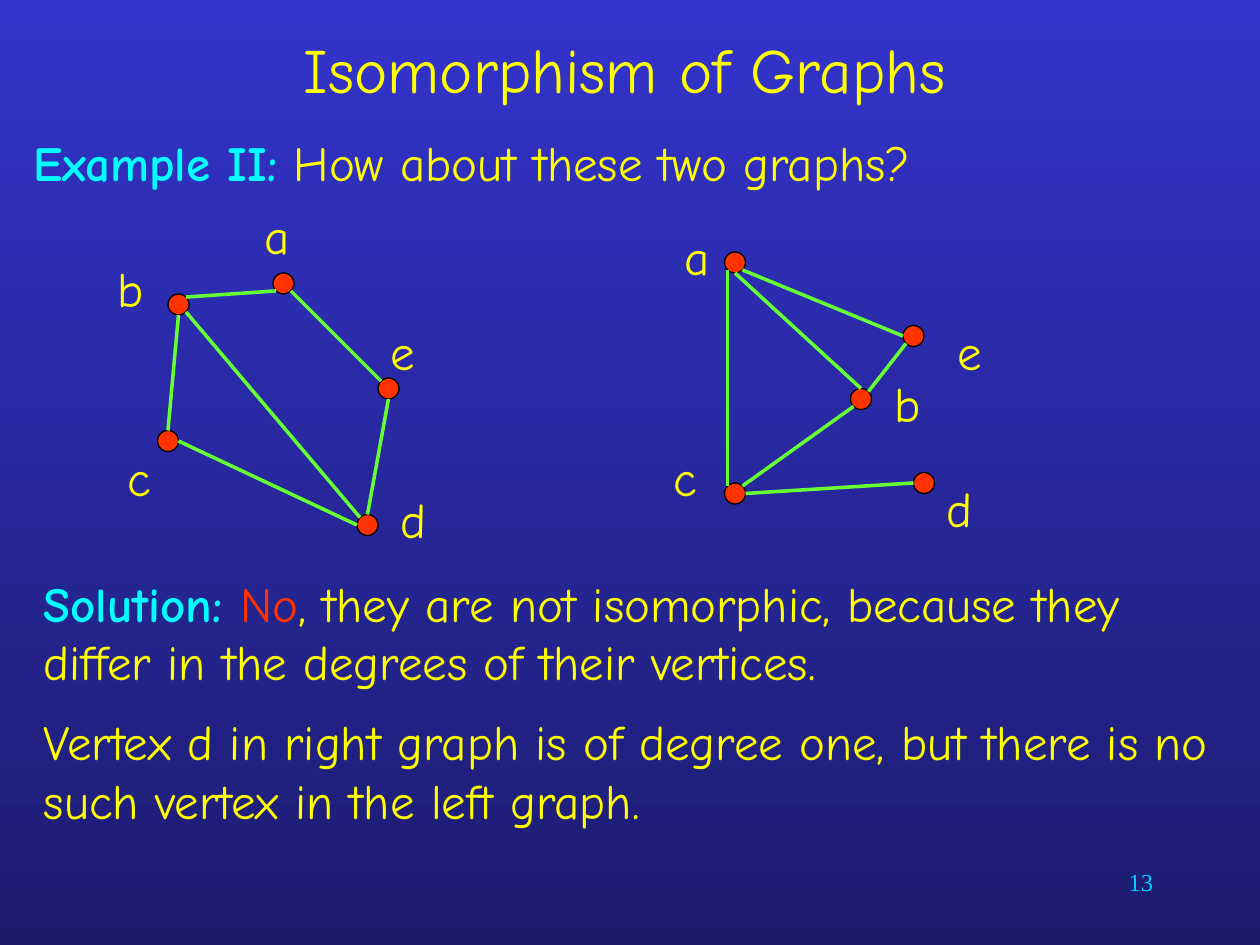
"""Build a slide that compares two small graphs and explains why they are not isomorphic."""
import math
from dataclasses import dataclass

from lxml import etree
from pptx import Presentation
from pptx import util as u
from pptx.dml.color import RGBColor
from pptx.enum import shapes, text
from pptx.oxml import ns

COLORS = {"top": "3333CC", "bottom": "1C1C6F", "text": "FFFF00", "lead": "00FFFF",
          "red": "FF3300", "edge": "66FF33", "outline": "000000", "number": "00CCFF"}
FONT = "Comic Neue"
DOT = 12
TOP, TOP_LEFT, LEFT, BOTTOM_LEFT, BOTTOM, BOTTOM_RIGHT, RIGHT, TOP_RIGHT = range(8)


@dataclass(frozen=True)
class Vertex:
    """A dot and its label, both placed by their left top corner in points."""
    x: float
    y: float
    label_x: float
    label_y: float
    label_w: float = 48

    def site(self, number: int) -> tuple[float, float]:
        """Return one of eight points on the rim, counted counter-clockwise from the top."""
        angle = math.radians(90 + 45 * number)
        radius = DOT / 2
        return (self.x + radius + radius * math.cos(angle),
                self.y + radius - radius * math.sin(angle))


@dataclass(frozen=True)
class Edge:
    """A line between rim sites of two named vertices."""
    start: str
    start_site: int
    end: str
    end_site: int


@dataclass(frozen=True)
class Graph:
    """Named vertices and the edges between them."""
    vertices: dict[str, Vertex]
    edges: list[Edge]


GRAPHS = [
    Graph({"d": Vertex(204, 294, 222, 276), "c": Vertex(90, 246, 66, 252, 30),
           "b": Vertex(96, 168, 60, 144, 24), "e": Vertex(216, 216, 216, 180),
           "a": Vertex(156, 156, 144, 114)},
          [Edge("d", TOP, "e", BOTTOM), Edge("d", LEFT, "c", RIGHT),
           Edge("c", TOP, "b", BOTTOM), Edge("b", TOP_RIGHT, "a", BOTTOM_LEFT),
           Edge("a", BOTTOM_RIGHT, "e", TOP_LEFT), Edge("b", BOTTOM_RIGHT, "d", TOP_LEFT)]),
    Graph({"c": Vertex(414, 276, 378, 252, 30), "b": Vertex(486, 222, 504, 210, 24),
           "a": Vertex(414, 144, 384, 126), "d": Vertex(522, 270, 534, 270),
           "e": Vertex(516, 186, 540, 180)},
          [Edge("c", RIGHT, "d", LEFT), Edge("c", TOP_RIGHT, "b", BOTTOM_LEFT),
           Edge("b", TOP, "a", BOTTOM), Edge("a", BOTTOM_RIGHT, "e", LEFT),
           Edge("e", BOTTOM_LEFT, "b", TOP_RIGHT), Edge("a", BOTTOM_LEFT, "c", TOP_LEFT)]),
]


def rgb(name: str) -> RGBColor:
    """Look up a named colour."""
    return RGBColor.from_string(COLORS[name])


def place(sp, x: float, y: float, w: float, h: float) -> None:
    """Move and size a shape in points."""
    sp.left, sp.top, sp.width, sp.height = u.Pt(x), u.Pt(y), u.Pt(w), u.Pt(h)


def add_run(p, words: str, color: str = "text", size: float = 28,
            bold: bool = False, font: str = FONT) -> None:
    """Append a formatted run to a paragraph."""
    r = p.add_run()
    r.text = words
    r.font.name, r.font.size, r.font.bold = font, u.Pt(size), bold
    r.font.color.rgb = rgb(color)


def add_box(parent, x: float, y: float, w: float, h: float):
    """Add a wrapping text box and return its text frame."""
    tf = parent.add_textbox(u.Pt(x), u.Pt(y), u.Pt(w), u.Pt(h)).text_frame
    tf.word_wrap = True
    return tf


def fill_paragraph(p, runs: list[tuple]) -> None:
    """Write an evenly spaced paragraph from run arguments."""
    p.space_before = p.space_after = u.Pt(6)
    for words, color, bold in runs:
        add_run(p, words, color, bold=bold)


def draw_vertex(parent, name: str, v: Vertex) -> None:
    """Draw a dot with its label."""
    sp = parent.add_shape(shapes.MSO_SHAPE.FLOWCHART_CONNECTOR,
                          u.Pt(v.x), u.Pt(v.y), u.Pt(DOT), u.Pt(DOT))
    sp.shadow.inherit = False
    sp.fill.solid()
    sp.fill.fore_color.rgb = rgb("red")
    sp.line.color.rgb = rgb("outline")
    sp.line.width = u.Pt(0.75)
    tf = add_box(parent, v.label_x, v.label_y, v.label_w, 41)
    tf.auto_size = text.MSO_AUTO_SIZE.SHAPE_TO_FIT_TEXT
    add_run(tf.paragraphs[0], name)


def draw_edge(parent, start: tuple[float, float], end: tuple[float, float]) -> None:
    """Draw a straight edge between two points."""
    line = parent.add_connector(shapes.MSO_CONNECTOR.STRAIGHT,
                                *(u.Pt(value) for value in start + end))
    line.line.color.rgb = rgb("edge")
    line.line.width = u.Pt(2)
    etree.SubElement(line._element.spPr, ns.qn("a:effectLst"))


def draw_graph(s, graph: Graph) -> None:
    """Draw a graph as one group."""
    parent = s.shapes.add_group_shape().shapes
    for name, v in graph.vertices.items():
        draw_vertex(parent, name, v)
    for e in graph.edges:
        draw_edge(parent, graph.vertices[e.start].site(e.start_site),
                  graph.vertices[e.end].site(e.end_site))


def main() -> None:
    """Build and save the slide."""
    prs = Presentation()
    prs.slide_width, prs.slide_height = u.Pt(720), u.Pt(540)
    s = prs.slides.add_slide(prs.slide_layouts[1])

    fill = s.background.fill
    fill.gradient()
    fill.gradient_angle = 270
    for stop, name in zip(fill.gradient_stops, ("top", "bottom")):
        stop.color.rgb = rgb(name)

    title, body = s.placeholders
    place(title, 18, 0, 678, 78)
    add_run(title.text_frame.paragraphs[0], "Isomorphism of Graphs", size=36)
    place(body, 12, 72, 696, 42)
    for sp in (title, body):
        sp.text_frame.auto_size = text.MSO_AUTO_SIZE.NONE
    p = body.text_frame.paragraphs[0]
    pPr = p._p.get_or_add_pPr()
    pPr.set("marL", "0")
    pPr.set("indent", "0")
    etree.SubElement(pPr, ns.qn("a:buNone"))
    fill_paragraph(p, [("Example II:", "lead", True),
                       (" How about these two graphs?", "text", False)])

    for graph in GRAPHS:
        draw_graph(s, graph)

    tf = add_box(s.shapes, 18, 324, 690, 144)
    fill_paragraph(tf.paragraphs[0], [
        ("Solution: ", "lead", True), ("No", "red", False),
        (", they are not isomorphic, because they differ in the degrees of their vertices.",
         "text", False)])
    fill_paragraph(tf.add_paragraph(), [
        ("Vertex d in right graph is of degree one, but there is no such vertex "
         "in the left graph.", "text", False)])

    p = add_box(s.shapes, 516, 492, 150, 36).paragraphs[0]
    p.alignment = text.PP_ALIGN.RIGHT
    add_run(p, "13", "number", 14, font="Times New Roman")
    prs.save("out.pptx")


if __name__ == "__main__":
    main()
